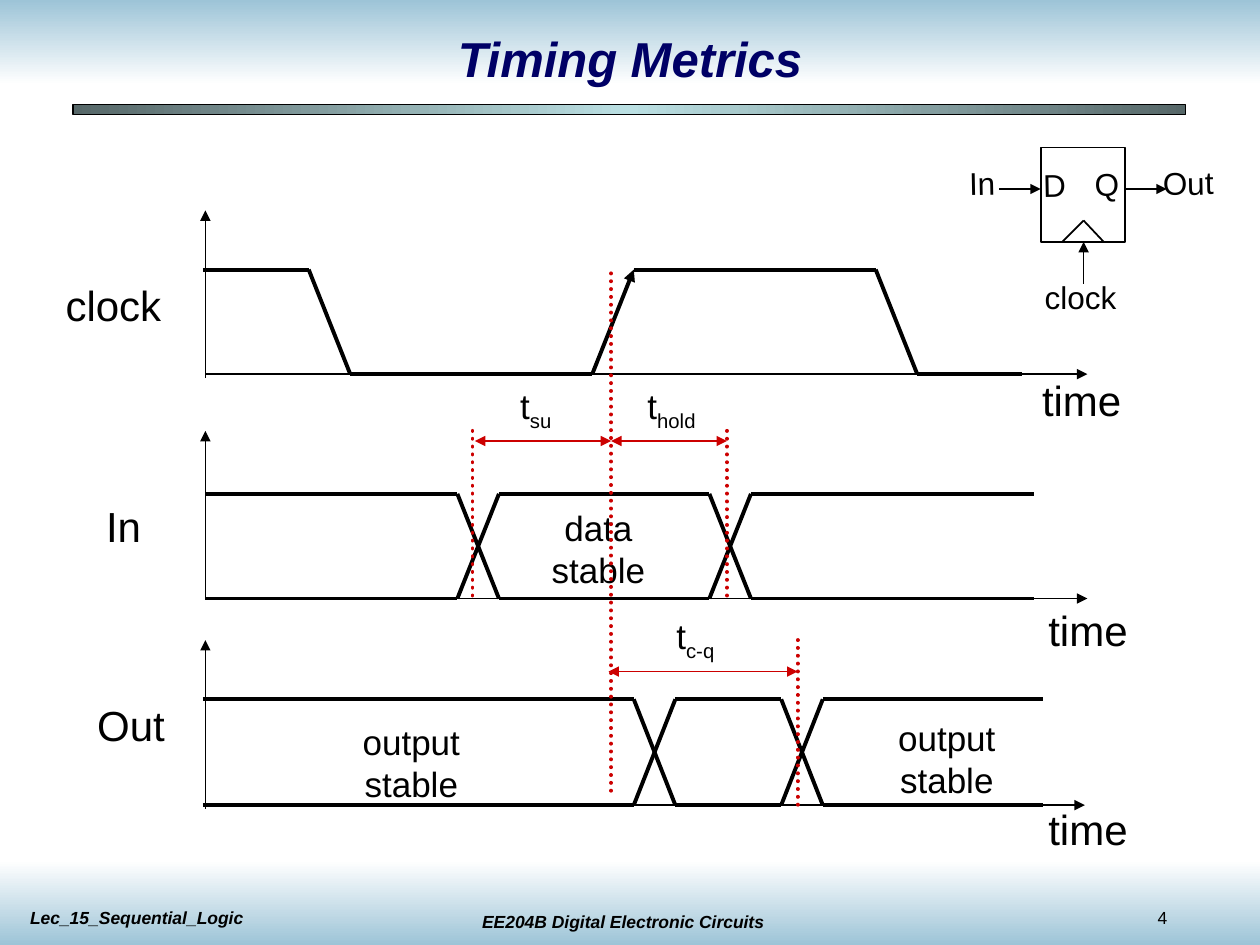
from itertools import pairwise

from lxml.etree import SubElement
from pptx import Presentation
from pptx.dml.color import RGBColor
from pptx.enum.dml import MSO_LINE
from pptx.enum.shapes import MSO_CONNECTOR, MSO_SHAPE
from pptx.enum.text import MSO_ANCHOR, PP_ALIGN
from pptx.oxml.ns import qn
from pptx.util import Inches, Pt

BLACK = RGBColor(0x00, 0x00, 0x00)
NAVY = RGBColor(0x00, 0x00, 0x66)
RED = RGBColor(0xCC, 0x00, 0x00)
SKY = RGBColor(0x9D, 0xC4, 0xD7)
WHITE = RGBColor(0xFF, 0xFF, 0xFF)
SLATE = RGBColor(0x56, 0x67, 0x68)
AQUA = RGBColor(0xBB, 0xE0, 0xE3)
THIN, THICK = 1, 2.25
SLOPE = 0.33  # horizontal run of every signal edge
CLOCK_EDGE = 4.85

# Gradient bands: box, colours, angle, outlined
BANDS = [
    ((0, 0, 10, 0.67), (SKY, WHITE), 90, False),
    ((0, 6.83, 10, 0.67), (WHITE, SKY), 90, False),
    ((0.58, 0.83, 8.83, 0.08), (SLATE, AQUA, SLATE), 180, True),
]

# Title and footer: text, box, size, colour, alignment, emphasised
HEADINGS = [
    ("Timing Metrics", (0.75, 0.17, 8.5, 0.58), 28, NAVY, PP_ALIGN.CENTER, True),
    ("Lec_15_Sequential_Logic", (0.14, 7.15, 2.83, 0.27), 10, BLACK, PP_ALIGN.LEFT, True),
    ("EE204B Digital Electronic Circuits", (3.53, 7.18, 2.83, 0.27), 10, BLACK,
     PP_ALIGN.CENTER, True),
    ("4", (9.09, 7.15, 0.83, 0.27), 10, BLACK, PP_ALIGN.LEFT, False),
]

# Axes: left end, baseline, vertical axis bottom and top
AXES = [(1.63, 2.97, 3, 1.67), (1.63, 4.75, 4.75, 3.42), (1.61, 6.39, 6.42, 5.08)]
AXIS_X, AXIS_LENGTH = 1.63, 7

# Clock: low and high levels, start, edges (falling, rising, falling), end
CLOCK = (2.97, 2.14, 1.61, (2.45, 4.7, 6.95), 8.11)
# Buses: low and high levels, start, crossings, end
BUSES = [
    (4.75, 3.92, 1.63, (3.63, 5.63), 8.21),
    (6.39, 5.55, 1.61, (5.03, 6.2), 8.28),
]

# Diagram labels: lines, box, size
LABELS = [
    (["clock"], (0.42, 2.17, 0.96, 0.5), 24),
    (["In"], (0.74, 3.92, 0.48, 0.5), 24),
    (["Out"], (0.67, 5.5, 0.74, 0.5), 24),
    (["time"], (8.17, 2.92, 0.83, 0.5), 24),
    (["time"], (8.22, 4.75, 0.83, 0.5), 24),
    (["time"], (8.22, 6.33, 0.83, 0.5), 24),
    (["data", "stable"], (4.28, 3.97, 0.94, 0.77), 20),
    (["output", "stable"], (2.76, 5.67, 1.01, 0.77), 20),
    (["output", "stable"], (7.01, 5.64, 1.01, 0.77), 20),
    (["clock"], (8.19, 2.16, 0.77, 0.4), 18),
]

# Flip-flop
FLIP_FLOP = (8.26, 1.17, 0.67, 0.75)
PINS = [
    ("In", (7.59, 1.25, 0.41, 0.4)),
    ("D", (8.18, 1.27, 0.38, 0.4)),
    ("Q", (8.59, 1.26, 0.39, 0.4)),
    ("Out", (9.13, 1.25, 0.6, 0.4)),
]
PIN_ROTATION = -1.1
PIN_ARROWS = [((7.93, 1.5), (8.26, 1.5)), ((8.93, 1.5), (9.26, 1.5)), ((8.6, 2.25), (8.6, 1.92))]
CLOCK_NOTCH = [(8.43, 1.92), (8.6, 1.75), (8.76, 1.92)]

# Timing marks: x, top, bottom
MARKERS = [(3.75, 3.42, 4.75), (CLOCK_EDGE, 2.17, 6.33), (5.77, 3.42, 4.75), (6.33, 5.08, 6.42)]
# Intervals: subscript, label box, from, to, height
INTERVALS = [
    ("su", (4.03, 3, 0.45, 0.48), 3.77, CLOCK_EDGE, 3.5),
    ("hold", (5.04, 3, 0.58, 0.48), CLOCK_EDGE, 5.77, 3.5),
    ("c-q", (5.27, 4.83, 0.5, 0.48), 4.83, 6.33, 5.33),
]

presentation = Presentation()
presentation.slide_width = Inches(10)
presentation.slide_height = Inches(7.5)
slide = presentation.slides.add_slide(presentation.slide_layouts[6])


def add_rectangle(box):
    shape = slide.shapes.add_shape(MSO_SHAPE.RECTANGLE, *map(Inches, box))
    shape.shadow.inherit = False
    shape.line.color.rgb = BLACK
    shape.line.width = Pt(THIN)
    return shape


def add_band(box, colors, angle, outlined):
    shape = add_rectangle(box)
    shape.fill.gradient()
    shape.fill.gradient_angle = 360 - angle
    stops = shape._element.spPr.find(".//" + qn("a:gsLst"))
    for stop in list(stops):
        stops.remove(stop)
    for index, color in enumerate(colors):
        position = 100000 * index // (len(colors) - 1)
        stop = SubElement(stops, qn("a:gs"), pos=str(position))
        SubElement(stop, qn("a:srgbClr"), val=str(color))
    if outlined:
        shape.line.width = Pt(0.75)
    else:
        shape.line.fill.background()


def add_line(start, end, width=THICK, color=BLACK, head=False, tail=False, dotted=False):
    line = slide.shapes.add_connector(MSO_CONNECTOR.STRAIGHT, *map(Inches, (*start, *end)))
    line.line.color.rgb = color
    line.line.width = Pt(width)
    outline = line.line._get_or_add_ln()
    if dotted:
        line.line.dash_style = MSO_LINE.ROUND_DOT
        outline.set("cap", "rnd")
    for wanted, tag in ((head, "a:headEnd"), (tail, "a:tailEnd")):
        if wanted:
            SubElement(outline, qn(tag), type="triangle")
    SubElement(line._element.spPr, qn("a:effectLst"))


def add_text(lines, box, size, color=BLACK, align=PP_ALIGN.CENTER, emphasis=False,
             wrap=False, rotation=0, subscript=None):
    text_box = slide.shapes.add_textbox(*map(Inches, box))
    text_box.rotation = rotation
    frame = text_box.text_frame
    frame.word_wrap = wrap
    for index, text in enumerate(lines):
        paragraph = frame.add_paragraph() if index else frame.paragraphs[0]
        paragraph.alignment = align
        for part in (text, subscript):
            if part is None:
                continue
            run = paragraph.add_run()
            run.text = part
            font = run.font
            font.name, font.size, font.color.rgb = "Arial", Pt(size), color
            font.bold = font.italic = emphasis
            if part == subscript:
                run._r.get_or_add_rPr().set("baseline", "-25000")
    return frame


# Bands, title and footer
for band in BANDS:
    add_band(*band)
for text, box, size, color, align, emphasis in HEADINGS:
    frame = add_text([text], box, size, color, align, emphasis, wrap=True)
    if size == 28:
        frame.vertical_anchor = MSO_ANCHOR.MIDDLE

# Axes
for left, baseline, bottom, top in AXES:
    add_line((AXIS_X, bottom), (AXIS_X, top), THIN, tail=True)
    add_line((left, baseline), (left + AXIS_LENGTH, baseline), THIN, tail=True)

# Clock waveform, with an arrow on its rising edge
low, high, start, edges, end = CLOCK
level, other = high, low
points = [(start, level)]
for edge in edges:
    points += [(edge, level), (edge + SLOPE, other)]
    level, other = other, level
points.append((end, level))
for first, second in pairwise(points):
    add_line(first, second, tail=first[1] > second[1])

# Bus waveforms
for low, high, start, crossings, end in BUSES:
    starts = [start] + [x + SLOPE for x in crossings]
    for left, right in zip(starts, [*crossings, end]):
        for level in (high, low):
            add_line((left, level), (right, level))
    for x in crossings:
        add_line((x, low), (x + SLOPE, high))
        add_line((x, high), (x + SLOPE, low))

for lines, box, size in LABELS:
    add_text(lines, box, size)

# Flip-flop symbol
add_rectangle(FLIP_FLOP).fill.background()
for name, box in PINS:
    add_text([name], box, 18, rotation=PIN_ROTATION)
for first, second in PIN_ARROWS:
    add_line(first, second, THIN, tail=True)
for first, second in pairwise(CLOCK_NOTCH):
    add_line(first, second, THIN)

# Timing marks and intervals
for x, top, bottom in MARKERS:
    add_line((x, top), (x, bottom), color=RED, dotted=True)
for subscript, box, left, right, y in INTERVALS:
    add_text(["t"], box, 20, align=PP_ALIGN.LEFT, subscript=subscript)
    add_line((left, y), (right, y), THIN, RED, head=True, tail=True)

presentation.save("out.pptx")
